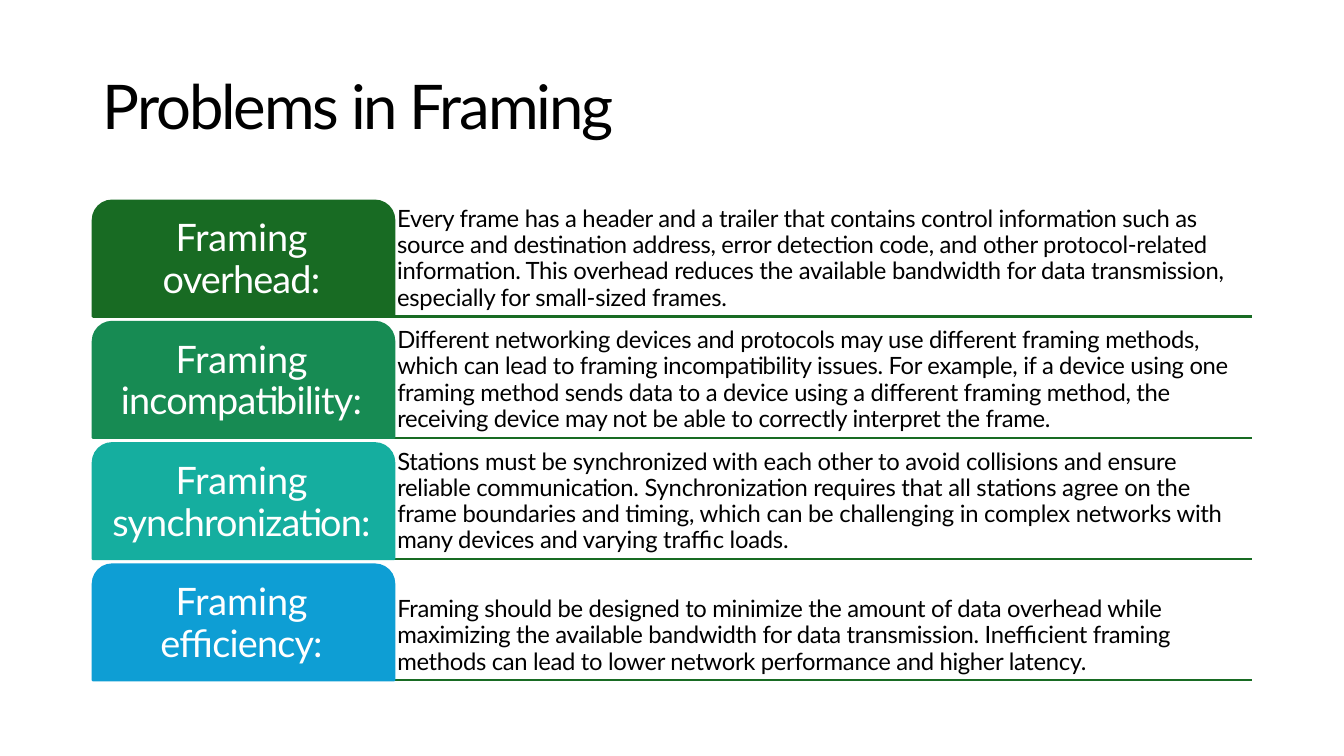
import pptx
import pptx.util
import pptx.dml.color
import pptx.enum.shapes
import pptx.enum.text

Inches = pptx.util.Inches
Pt = pptx.util.Pt
RGBColor = pptx.dml.color.RGBColor
ALIGN = pptx.enum.text.PP_ALIGN
ANCHOR = pptx.enum.text.MSO_ANCHOR

FONT = "Lato"
BLACK = RGBColor(0x00, 0x00, 0x00)
WHITE = RGBColor(0xFF, 0xFF, 0xFF)
GREEN = RGBColor(0x18, 0x6B, 0x23)
EMERALD = RGBColor(0x17, 0x8B, 0x53)
TEAL = RGBColor(0x15, 0xAE, 0x9F)
BLUE = RGBColor(0x0E, 0x9E, 0xD4)

TAB_LEFT, TAB_WIDTH, TAB_HEIGHT = 0.92, 2.99, 1.15
RULE_RIGHT = 12.42
FIRST_TOP, LAST_TOP = 1.99, 5.6
BODY_LEFT, BODY_HEIGHT = 3.94, 1.09

PROBLEMS = [
    ("overhead:", GREEN, 8.36, -0.22,
     "Every frame has a header and a trailer that contains control information such as "
     "source and destination address, error detection code, and other protocol-related "
     "information. This overhead reduces the available bandwidth for data transmission, "
     "especially for small-sized frames."),
    ("incompatibility:", EMERALD, 8.41, -0.26,
     "Different networking devices and protocols may use different framing methods, "
     "which can lead to framing incompatibility issues. For example, if a device using one "
     "framing method sends data to a device using a different framing method, the "
     "receiving device may not be able to correctly interpret the frame."),
    ("synchronization:", TEAL, 8.28, -0.2,
     "Stations must be synchronized with each other to avoid collisions and ensure "
     "reliable communication. Synchronization requires that all stations agree on the "
     "frame boundaries and timing, which can be challenging in complex networks with "
     "many devices and varying traffic loads."),
    ("efficiency:", BLUE, 7.81, -0.25,
     "Framing should be designed to minimize the amount of data overhead while "
     "maximizing the available bandwidth for data transmission. Inefficient framing "
     "methods can lead to lower network performance and higher latency."),
]
ROW_PITCH = (LAST_TOP - FIRST_TOP) / (len(PROBLEMS) - 1)


def write_text(shape, pieces, size, color, align, anchor, insets, line_spacing=None):
    frame = shape.text_frame
    frame.word_wrap = True
    frame.vertical_anchor = anchor
    frame.margin_left, frame.margin_top, frame.margin_right, frame.margin_bottom = map(Inches, insets)
    paragraph = frame.paragraphs[0]
    paragraph.alignment = align
    paragraph.line_spacing = line_spacing
    paragraph.font.name = FONT
    paragraph.font.size = Pt(size)
    paragraph.font.color.rgb = color
    for text, spacing in pieces:
        run = paragraph.add_run()
        run.text = text
        run._r.get_or_add_rPr().set("spc", str(round(spacing * 100)))


def add_title(slide):
    box = slide.shapes.add_textbox(Inches(1), Inches(0.66), Inches(5.91), Inches(0.76))
    write_text(box, [("Problems in Framing", -1.5)], 44, BLACK,
               ALIGN.LEFT, ANCHOR.TOP, (0.02, 0.01, 0, 0))


def add_rules(slide, heights):
    left, right = Inches(TAB_LEFT), Inches(RULE_RIGHT)
    builder = slide.shapes.build_freeform(left, Inches(heights[0]))
    for y in heights:
        builder.move_to(left, Inches(y))
        builder.add_line_segments([(right, Inches(y))], close=False)
    rules = builder.convert_to_shape()
    rules.shadow.inherit = False
    rules.fill.background()
    rules.line.color.rgb = GREEN
    rules.line.width = Pt(1.5)


def add_tab(slide, top, subject, color):
    tab = slide.shapes.add_shape(pptx.enum.shapes.MSO_SHAPE.ROUND_2_SAME_RECTANGLE,
                                 Inches(TAB_LEFT), Inches(top), Inches(TAB_WIDTH), Inches(TAB_HEIGHT))
    tab.shadow.inherit = False
    tab.fill.solid()
    tab.fill.fore_color.rgb = color
    tab.line.color.rgb = color
    tab.line.width = Pt(1.5)
    write_text(tab, [("Framing ", -0.1), (subject, -0.6)], 27, WHITE,
               ALIGN.CENTER, ANCHOR.MIDDLE, (0.03, 0, 0.07, 0.04), Pt(29.8))


def add_explanation(slide, top, width, text, spacing):
    box = slide.shapes.add_textbox(Inches(BODY_LEFT), Inches(top), Inches(width), Inches(BODY_HEIGHT))
    write_text(box, [(text, spacing)], 17, BLACK,
               ALIGN.LEFT, ANCHOR.BOTTOM, (0, 0.04, 0, 0), 0.92)


def main():
    presentation = pptx.Presentation()
    presentation.slide_width = Inches(13.33)
    presentation.slide_height = Inches(7.5)
    slide = presentation.slides.add_slide(presentation.slide_layouts[6])
    add_title(slide)
    tops = [FIRST_TOP + index * ROW_PITCH for index in range(len(PROBLEMS))]
    add_rules(slide, [top + TAB_HEIGHT for top in tops])
    for top, (subject, color, width, spacing, text) in zip(tops, PROBLEMS):
        add_tab(slide, top, subject, color)
        add_explanation(slide, top + 0.01, width, text, spacing)
    presentation.save("out.pptx")


if __name__ == "__main__":
    main()
